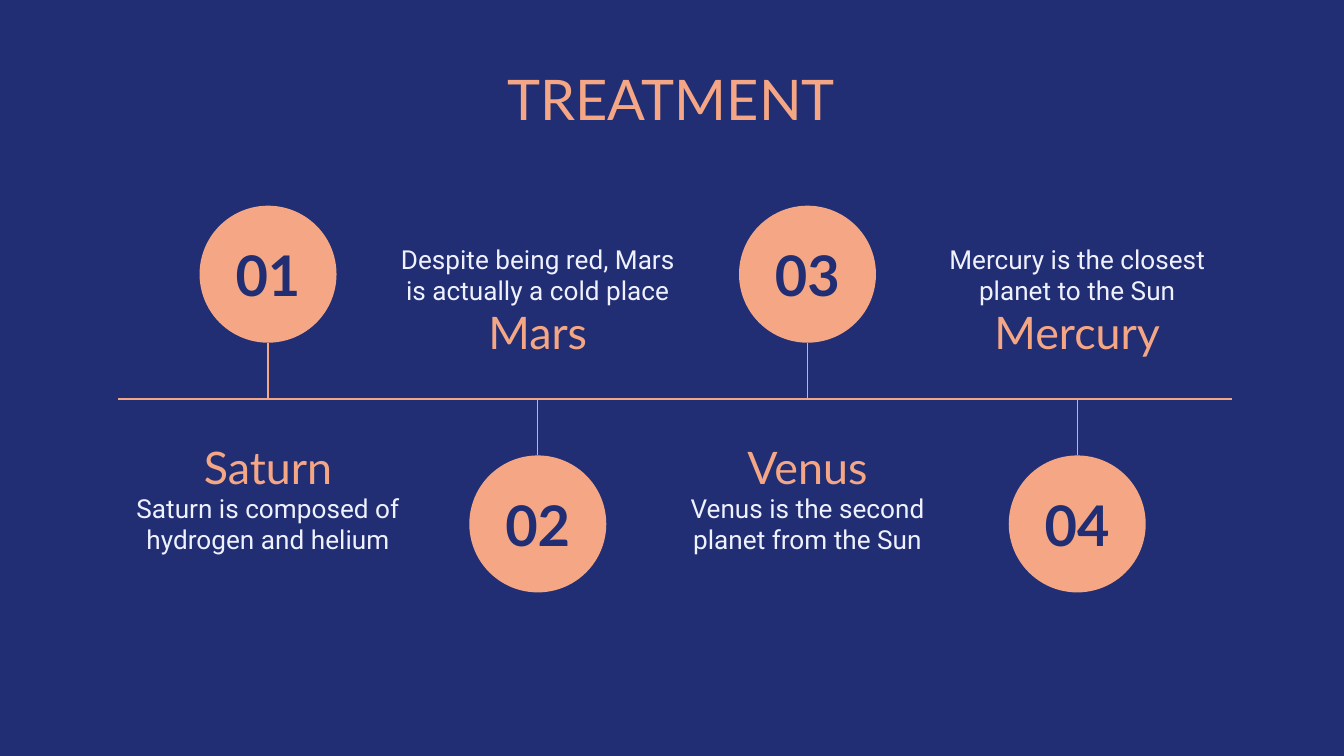
from pptx import Presentation
from pptx.dml.color import RGBColor
from pptx.enum.shapes import MSO_CONNECTOR, MSO_SHAPE
from pptx.enum.text import MSO_ANCHOR, PP_ALIGN
from pptx.oxml.ns import qn
from pptx.util import Pt
from lxml.etree import SubElement

TITLE = "TREATMENT"
STEPS = [
    ("01", "Saturn", "Saturn is composed of hydrogen and helium"),
    ("02", "Mars", "Despite being red, Mars is actually a cold place"),
    ("03", "Venus", "Venus is the second planet from the Sun"),
    ("04", "Mercury", "Mercury is the closest planet to the Sun"),
]

THEME = {
    "navy": RGBColor.from_string("212E73"),
    "peach": RGBColor.from_string("F5A785"),
    "pale": RGBColor.from_string("EFF1FF"),
    # size, font, colour, bold
    "title": (30, "Lato", "peach", False),
    "number": (30, "Lato", "navy", True),
    "name": (24, "Lato", "peach", False),
    "note": (14, "Roboto", "pale", False),
}

WIDTH, HEIGHT = 720, 405
AXIS = 213.8
LEFT, RIGHT = 63.4, 660.2
FIRST, STEP = 143.6, 144.5
DISC, STEM = 73.4, 30.2
NUM_W, NAME_W, NOTE_W = 52.6, 123.2, 168.4
NAME_H, NOTE_H = 33.8, 45.4
NAME_GAP, NOTE_GAP = 24, 42.6


def fill_text(shape, text, style, anchor):
    size, face, tint, bold = THEME[style]
    frame = shape.text_frame
    frame.word_wrap = True
    frame.vertical_anchor = anchor
    frame.margin_left = frame.margin_right = Pt(7.2)
    frame.margin_top = frame.margin_bottom = Pt(7.2)
    para = frame.paragraphs[0]
    para.alignment = PP_ALIGN.CENTER
    run = para.add_run()
    run.text = text
    run.font.size = Pt(size)
    run.font.name = face
    run.font.bold = bold
    run.font.color.rgb = THEME[tint]


def add_text(slide, mid, top, width, height, text, style, anchor):
    box = slide.shapes.add_textbox(
        Pt(mid - width / 2), Pt(top), Pt(width), Pt(height))
    fill_text(box, text, style, anchor)


def add_line(slide, x1, y1, x2, y2):
    line = slide.shapes.add_connector(
        MSO_CONNECTOR.STRAIGHT, Pt(x1), Pt(y1), Pt(x2), Pt(y2))
    line.line.color.rgb = THEME["peach"]
    line.line.width = Pt(0.75)
    SubElement(line._element.spPr, qn("a:effectLst"))


def add_disc(slide, mid, top):
    disc = slide.shapes.add_shape(
        MSO_SHAPE.OVAL, Pt(mid - DISC / 2), Pt(top), Pt(DISC), Pt(DISC))
    disc.shadow.inherit = False
    disc.fill.solid()
    disc.fill.fore_color.rgb = THEME["peach"]
    disc.line.fill.background()


def edge(side, gap, height):
    """Top of a box that lies a gap above (-1) or below (1) the axis."""
    return AXIS + gap if side > 0 else AXIS - gap - height


def add_step(slide, index, number, name, note):
    mid = FIRST + index * STEP
    side = 1 if index % 2 else -1
    far = -side
    anchor = MSO_ANCHOR.BOTTOM if far > 0 else MSO_ANCHOR.TOP
    inner = MSO_ANCHOR.TOP if far > 0 else MSO_ANCHOR.BOTTOM
    top = edge(side, STEM, DISC)
    add_disc(slide, mid, top)
    add_line(slide, mid, AXIS, mid, AXIS + side * STEM)
    add_text(slide, mid, top + (DISC - NAME_H) / 2, NUM_W, NAME_H,
             number, "number", MSO_ANCHOR.MIDDLE)
    add_text(slide, mid, edge(far, NAME_GAP, NAME_H), NAME_W, NAME_H,
             name, "name", anchor)
    add_text(slide, mid, edge(far, NOTE_GAP, NOTE_H), NOTE_W, NOTE_H,
             note, "note", inner)


def main():
    deck = Presentation()
    deck.slide_width, deck.slide_height = Pt(WIDTH), Pt(HEIGHT)
    slide = deck.slides.add_slide(deck.slide_layouts[5])
    slide.background.fill.solid()
    slide.background.fill.fore_color.rgb = THEME["navy"]

    title = slide.shapes.title
    title.left, title.top = Pt(36.8), Pt(27.4)
    title.width, title.height = Pt(645.8), Pt(59.8)
    fill_text(title, TITLE, "title", MSO_ANCHOR.TOP)

    add_line(slide, LEFT, AXIS, RIGHT, AXIS)
    for index, step in enumerate(STEPS):
        add_step(slide, index, *step)
    deck.save("out.pptx")


if __name__ == "__main__":
    main()
